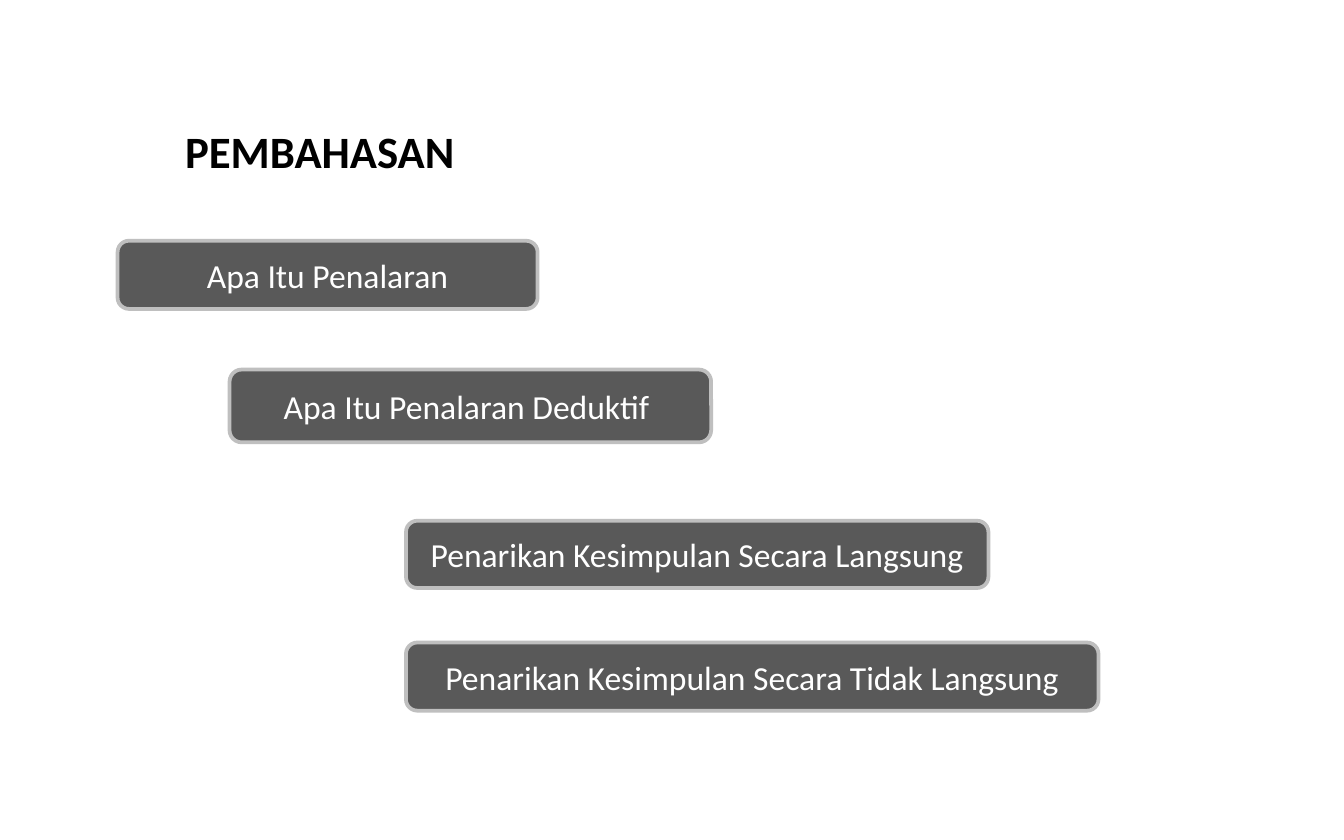
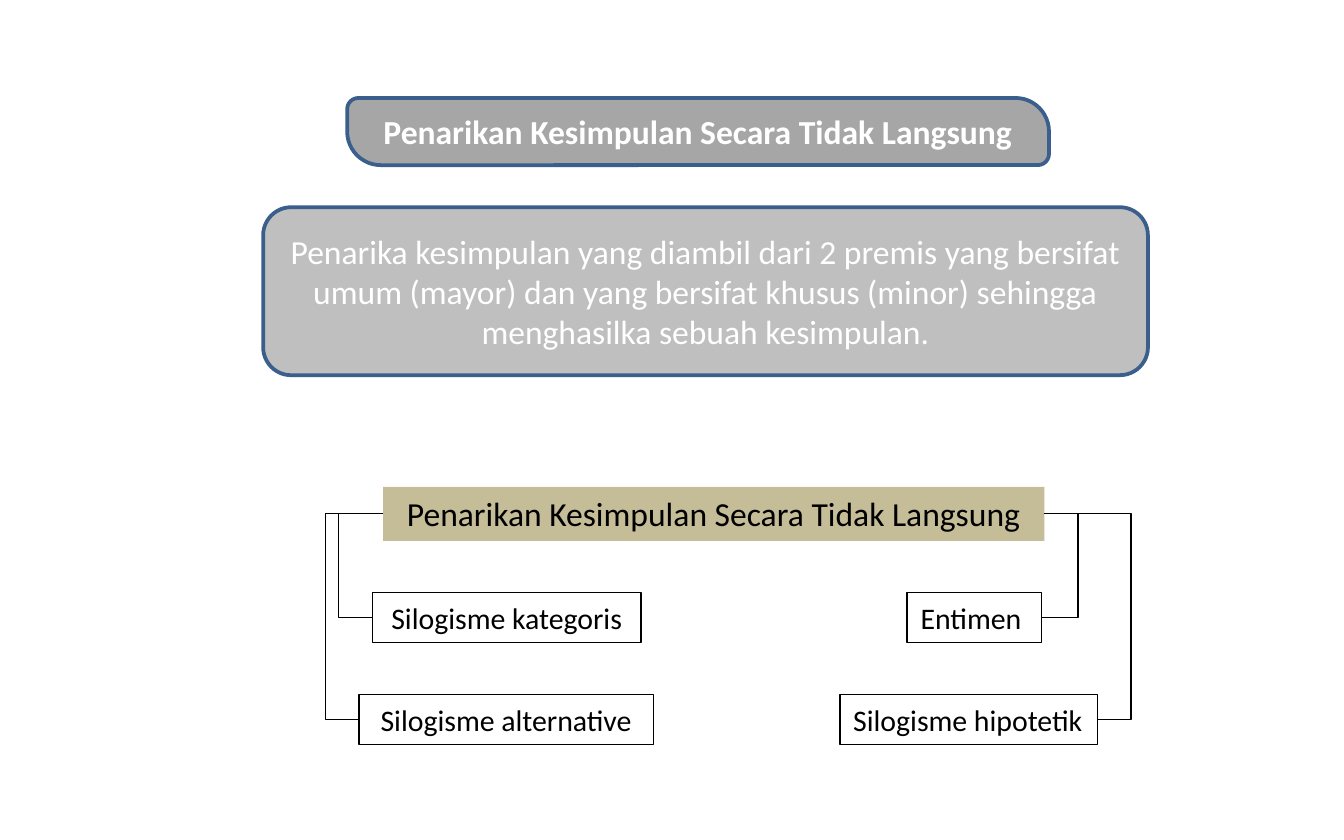
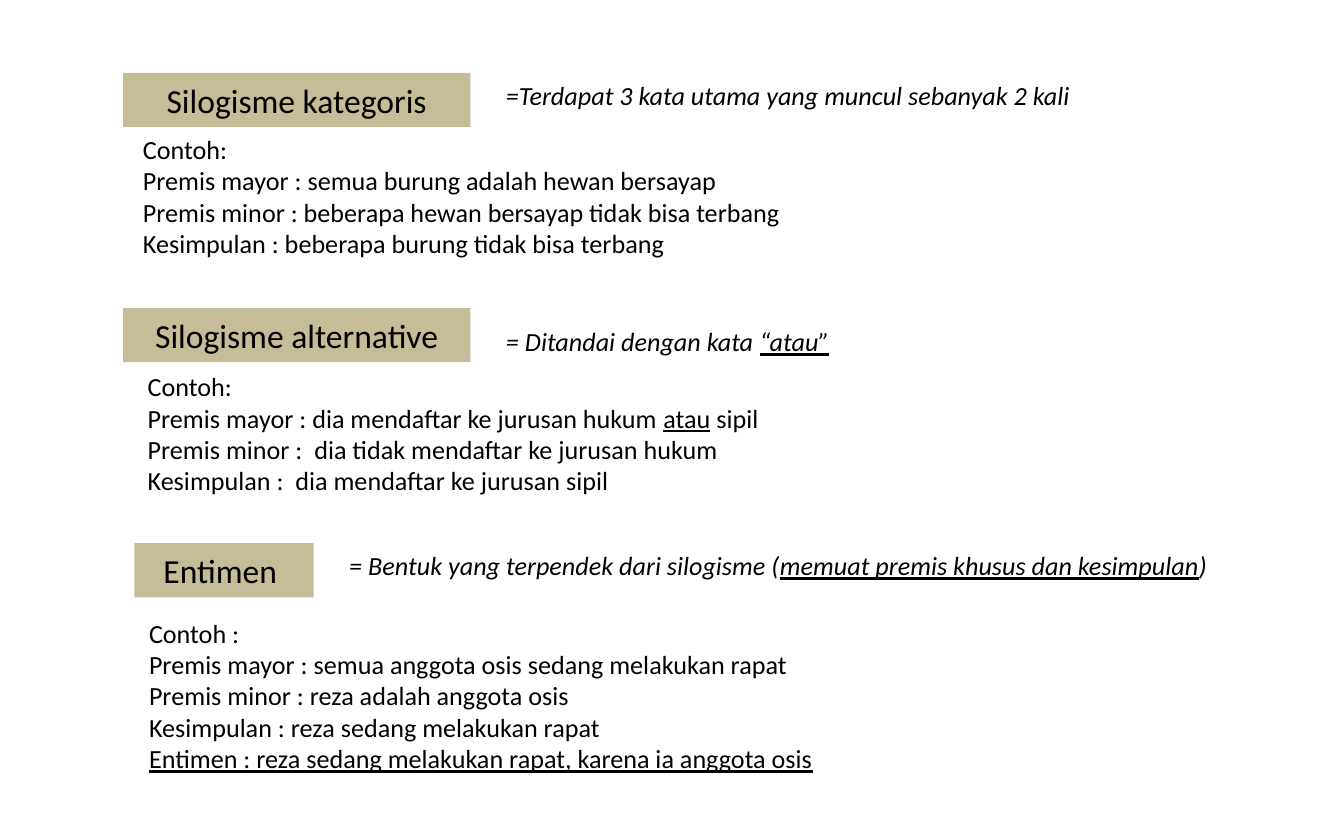
from dataclasses import dataclass

from lxml import etree
from pptx import Presentation
from pptx import util as u
from pptx.dml.color import RGBColor
from pptx.enum import shapes, text
from pptx.oxml.ns import qn


@dataclass(frozen=True)
class Theme:
    font: str = "Calibri"
    black: str = "000000"
    white: str = "FFFFFF"
    charcoal: str = "595959"
    grey: str = "A6A6A6"
    silver: str = "BFBFBF"
    navy: str = "3A5F8C"
    sand: str = "C4BD97"
    title_size: float = 24
    label_size: float = 18
    leaf_size: float = 16
    body_size: float = 14
    outline: float = 2
    hairline: float = 0.75


theme = Theme()
RECT = shapes.MSO_SHAPE.RECTANGLE
ROUND = shapes.MSO_SHAPE.ROUNDED_RECTANGLE
DIAGONAL = shapes.MSO_SHAPE.ROUND_2_DIAG_RECTANGLE
LEFT, CENTER = text.PP_ALIGN.LEFT, text.PP_ALIGN.CENTER

title_style = dict(size=theme.title_size, bold=True, align=CENTER)
topic_style = dict(size=theme.label_size, color=theme.white, align=CENTER, middle=True,
                   fill=theme.charcoal, line=theme.silver)
banner_style = topic_style | dict(fill=theme.grey, line=theme.navy, bold=True)
definition_style = topic_style | dict(fill=theme.silver, line=theme.navy)
tag_style = dict(size=theme.label_size, align=CENTER, fill=theme.sand)
leaf_style = dict(size=theme.leaf_size, align=CENTER, line=theme.black, weight=theme.hairline)
example_style = dict(size=theme.body_size)
note_style = example_style | dict(italic=True)


def add_box(page, kind, frame, lines, style):
    """Add a preset shape, or a text box if kind is None; _marks_ underline words."""
    place = [u.Pt(value) for value in frame]
    if kind is None:
        box = page.shapes.add_textbox(*place)
    else:
        box = page.shapes.add_shape(kind, *place)
        box.shadow.inherit = False
        if "fill" in style:
            box.fill.solid()
            box.fill.fore_color.rgb = RGBColor.from_string(style["fill"])
        else:
            box.fill.background()
        if "line" in style:
            box.line.color.rgb = RGBColor.from_string(style["line"])
            box.line.width = u.Pt(style.get("weight", theme.outline))
        else:
            box.line.fill.background()
    body = box.text_frame
    body.word_wrap = True
    body.vertical_anchor = text.MSO_ANCHOR.MIDDLE if style.get("middle") else text.MSO_ANCHOR.TOP
    for index, line in enumerate(lines):
        para = body.add_paragraph() if index else body.paragraphs[0]
        para.alignment = style.get("align", LEFT)
        for part, words in enumerate(line.split("_")):
            if not words:
                continue
            span = para.add_run()
            span.text = words
            font_values = dict(name=theme.font, size=u.Pt(style["size"]),
                               bold=style.get("bold", False),
                               italic=style.get("italic", False), underline=part % 2 == 1)
            for name, value in font_values.items():
                setattr(span.font, name, value)
            span.font.color.rgb = RGBColor.from_string(style.get("color", theme.black))
    return box


def add_branch(page, start, end, bus):
    """Join two points by an elbow whose upright runs at x = bus."""
    branch = page.shapes.add_connector(shapes.MSO_CONNECTOR.ELBOW,
                                       *[u.Pt(value) for value in start + end])
    branch.line.color.rgb = RGBColor.from_string(theme.black)
    branch.line.width = u.Pt(theme.hairline)
    properties = branch.element.spPr
    etree.SubElement(properties, qn("a:effectLst"))
    guides = properties.find(qn("a:prstGeom")).find(qn("a:avLst"))
    ratio = round((bus - start[0]) / (end[0] - start[0]) * 100000)
    etree.SubElement(guides, qn("a:gd"), name="adj1", fmla=f"val {ratio}")


deck = Presentation()
deck.slide_width, deck.slide_height = u.Pt(720), u.Pt(450)
blank = deck.slide_layouts[6]

# Agenda
page = deck.slides.add_slide(blank)
add_box(page, None, (60, 62.75, 228, 36), ["PEMBAHASAN "], title_style)
topics = [
    ((63, 129, 225, 36.5), "Apa Itu Penalaran"),
    ((123, 198, 258, 39), "Apa Itu Penalaran Deduktif "),
    ((217.5, 279, 312, 36), "Penarikan Kesimpulan Secara Langsung"),
    ((217.5, 344.25, 371, 36.5), "Penarikan Kesimpulan Secara Tidak Langsung"),
]
for frame, topic in topics:
    add_box(page, ROUND, frame, [topic], topic_style)

# Indirect conclusions and their four kinds
page = deck.slides.add_slide(blank)
subject = "Penarikan Kesimpulan Secara Tidak Langsung"
banner = add_box(page, DIAGONAL, (186, 52.5, 376, 36), [subject], banner_style)
banner.adjustments[0], banner.adjustments[1] = 0.167, 0.5
add_box(page, ROUND, (141, 111, 474, 90), [
    "Penarika kesimpulan yang diambil dari 2 premis yang bersifat umum (mayor) dan yang "
    "bersifat khusus (minor) sehingga menghasilka sebuah kesimpulan."], definition_style)

root_left, root_top, root_width, root_height = 205.25, 260.75, 354.25, 29
root_right, root_middle = root_left + root_width, root_top + root_height / 2
add_box(page, RECT, (root_left, root_top, root_width, root_height), [subject], tag_style)
leaf_height, bus_gap = 26.75, 18
upper_row, lower_row = 317.5, 372.25
leaves = [
    (199.5, upper_row, 144, "Silogisme kategoris", CENTER),
    (450, lower_row, 138, "Silogisme hipotetik", LEFT),
    (192.25, lower_row, 157.75, "Silogisme alternative", CENTER),
    (486, upper_row, 72, "Entimen ", CENTER),
]
for left, top, width, label, align in leaves:
    add_box(page, RECT, (left, top, width, leaf_height), [label], leaf_style | dict(align=align))
    if left < deck.slide_width.pt / 2:
        root_x, leaf_x = root_left, left
        bus = min(root_x, leaf_x) - bus_gap
    else:
        root_x, leaf_x = root_right, left + width
        bus = max(root_x, leaf_x) + bus_gap
    add_branch(page, (root_x, root_middle), (leaf_x, top + leaf_height / 2), bus)

# Examples of each kind
page = deck.slides.add_slide(blank)
tags = [
    ((66, 39, 186, 29), "Silogisme kategoris"),
    ((66, 165, 186, 29), "Silogisme alternative"),
    ((72, 291, 96, 29), "Entimen "),
]
notes = [
    ((264, 39, 321, 24.25), "=Terdapat 3 kata utama yang muncul sebanyak 2 kali"),
    ((264, 171, 288, 24.25), "= Ditandai dengan kata _“atau”_"),
    ((180, 291, 474, 24.25),
     "= Bentuk yang terpendek dari silogisme (_memuat premis khusus dan kesimpulan_)"),
]
examples = [
    (ROUND, (66, 69, 492, 72), [
        "Contoh:",
        "Premis mayor : semua burung adalah hewan bersayap",
        "Premis minor : beberapa hewan bersayap tidak bisa terbang",
        "Kesimpulan : beberapa burung tidak bisa terbang"]),
    (None, (72, 195, 486, 78), [
        "Contoh:",
        "Premis mayor : dia mendaftar ke jurusan hukum _atau_ sipil",
        "Premis minor :  dia tidak mendaftar ke jurusan hukum",
        "Kesimpulan :  dia mendaftar ke jurusan sipil"]),
    (None, (72.75, 327, 480, 92), [
        "Contoh :",
        "Premis mayor : semua anggota osis sedang melakukan rapat",
        "Premis minor : reza adalah anggota osis",
        "Kesimpulan : reza sedang melakukan rapat",
        "_Entimen : reza sedang melakukan rapat, karena ia anggota osis_"]),
]
for frame, label in tags:
    add_box(page, RECT, frame, [label], tag_style)
for kind, frame, lines in examples:
    add_box(page, kind, frame, lines, example_style | dict(middle=kind is ROUND))
for frame, note in notes:
    add_box(page, None, frame, [note], note_style)

deck.save("out.pptx")
